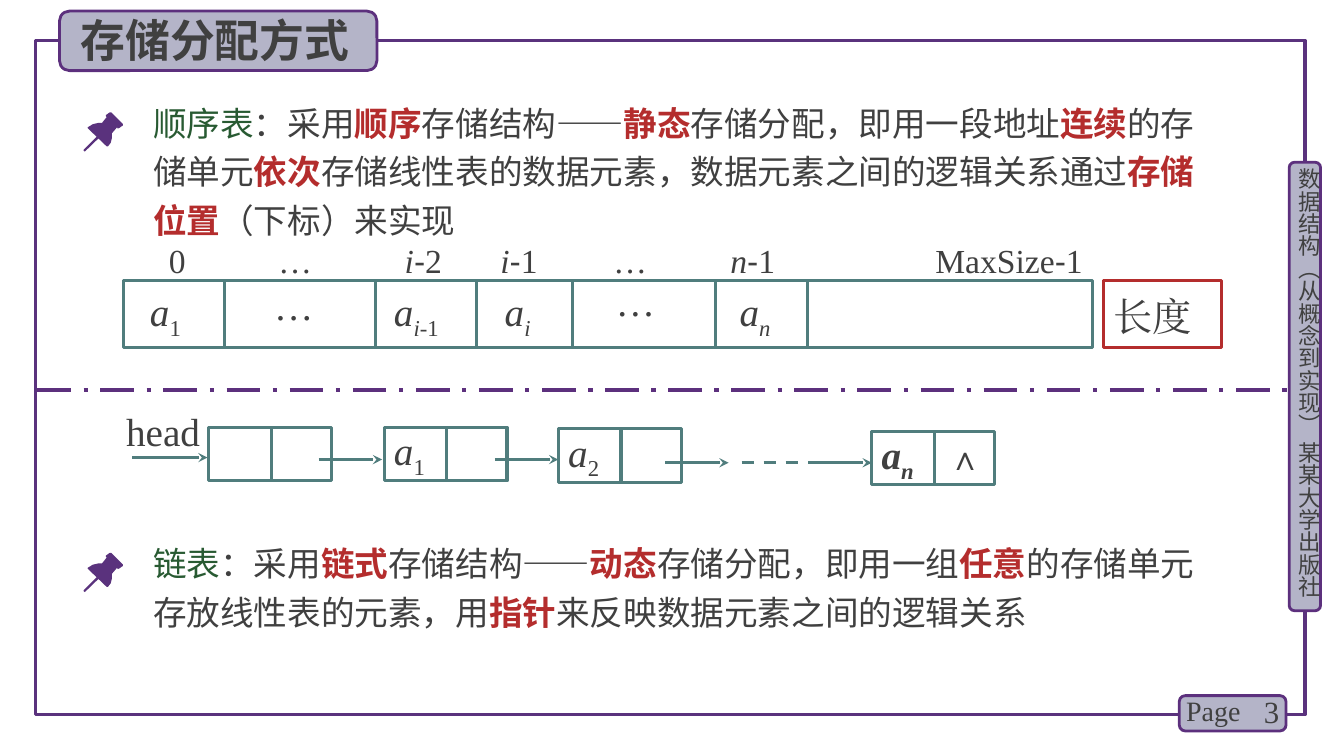
from dataclasses import dataclass, replace

import lxml.etree
import pptx
import pptx.dml.color
import pptx.enum.dml
import pptx.enum.shapes
import pptx.enum.text
import pptx.oxml.ns
import pptx.util

Cm = pptx.util.Cm
Pt = pptx.util.Pt
Shapes = pptx.enum.shapes.MSO_SHAPE
Align = pptx.enum.text.PP_ALIGN
Anchor = pptx.enum.text.MSO_ANCHOR
Dash = pptx.enum.dml.MSO_LINE

COLORS = {"text": "404040", "green": "285A32", "red": "B42D2D", "teal": "507D7D",
          "frame": "5A327D", "purple": "5C307D", "lavender": "B4B4C8"}
SANS, SERIF, HYPHEN_FONT = "Noto Sans CJK SC", "Times New Roman", "Arial"


@dataclass(frozen=True)
class Span:
    text: str
    size: float = 28
    font: str = SERIF
    color: str = "text"
    bold: bool = False
    italic: bool = False
    subscript: bool = False


@dataclass(frozen=True)
class Area:
    left: float
    top: float
    width: float
    height: float


@dataclass(frozen=True)
class Line:
    x1: float
    y1: float
    x2: float
    y2: float
    color: str = "teal"
    weight: float = 2.25
    dash: Dash | None = None
    arrow: bool = False


@dataclass(frozen=True)
class Node:
    left: float
    top: float
    spans: tuple[Span, ...] = ()


def rgb(name: str) -> pptx.dml.color.RGBColor:
    return pptx.dml.color.RGBColor.from_string(COLORS[name])


def xml_child(parent, tag: str, **attributes: str):
    return lxml.etree.SubElement(parent, pptx.oxml.ns.qn(tag), **attributes)


def write(shape, spans, margins=(0.25, 0.13, 0.25, 0.13), align=Align.LEFT,
          anchor=Anchor.TOP, spacing=None):
    """Fill a shape with one paragraph; margins are left, top, right, bottom."""
    frame = shape.text_frame
    frame.word_wrap = True
    frame.auto_size = pptx.enum.text.MSO_AUTO_SIZE.NONE
    frame.vertical_anchor = anchor
    (frame.margin_left, frame.margin_top,
     frame.margin_right, frame.margin_bottom) = map(Cm, margins)
    para = frame.paragraphs[0]
    para.alignment = align
    if spacing:
        para.line_spacing = spacing
    for span in spans:
        run = para.add_run()
        run.text = span.text
        font = run.font
        font.size, font.name = Pt(span.size), span.font
        font.bold, font.italic = span.bold, span.italic
        font.color.rgb = rgb(span.color)
        xml_child(run.font._element, "a:ea", typeface=span.font)
        if span.subscript:
            run.font._element.set("baseline", "-25000")
    return para


def add_text(area: Area, spans, **layout):
    box = slide.shapes.add_textbox(*map(Cm, (area.left, area.top, area.width, area.height)))
    return box, write(box, spans, **layout)


def add_box(area: Area, line: str, weight=2.25, fill=None, kind=Shapes.RECTANGLE):
    box = slide.shapes.add_shape(kind, *map(Cm, (area.left, area.top, area.width, area.height)))
    box.shadow.inherit = False
    box.line.color.rgb, box.line.width = rgb(line), Pt(weight)
    if fill:
        box.fill.solid()
        box.fill.fore_color.rgb = rgb(fill)
    else:
        box.fill.background()
    return box


def add_tab(area: Area):
    return add_box(area, "purple", 2, "lavender", Shapes.ROUNDED_RECTANGLE)


def add_line(line: Line):
    connector = slide.shapes.add_connector(
        pptx.enum.shapes.MSO_CONNECTOR.STRAIGHT, *map(Cm, (line.x1, line.y1, line.x2, line.y2)))
    connector.line.color.rgb, connector.line.width = rgb(line.color), Pt(line.weight)
    if line.dash:
        connector.line.dash_style = line.dash
    if line.arrow:
        xml_child(connector.line._get_or_add_ln(), "a:tailEnd", type="stealth")
    xml_child(connector._element.spPr, "a:effectLst")


def add_pin(left: float, top: float):
    for outline in (PIN_HEAD, PIN_NEEDLE):
        builder = slide.shapes.build_freeform(*outline[0], scale=Cm(0.01))
        builder.add_line_segments(outline[1:], close=True)
        part = builder.convert_to_shape(Cm(left), Cm(top))
        part.shadow.inherit = False
        part.fill.solid()
        part.fill.fore_color.rgb = rgb("frame")
        part.line.fill.background()


def element(index: str, bold=False, slanted=True):
    """Spans of a list element: an italic a with its index below."""
    return (Span("a", bold=bold, italic=True),
            Span(index, bold=bold, italic=slanted, subscript=True))


def prose(marked: str):
    """Body spans: the term comes before the first bar, then plain and key words alternate."""
    term, *parts = marked.split("|")
    body = Span("", 24, SANS)
    return [replace(body, text=term, color="green")] + [
        replace(body, text=part, color="red" if i % 2 else "text", bold=bool(i % 2))
        for i, part in enumerate(parts)]


PIN_HEAD = [(99, 33), (69, 3), (66, 3), (56, 10), (56, 13), (58, 15), (46, 30), (36, 30),
            (23, 33), (10, 41), (10, 43), (58, 89), (61, 89), (68, 80), (71, 68), (71, 56),
            (84, 41), (86, 44), (89, 43), (99, 36)]
PIN_NEEDLE = [(3, 102), (0, 100), (0, 97), (33, 64), (36, 62), (38, 64), (38, 68), (5, 100)]

deck = pptx.Presentation()
deck.slide_width, deck.slide_height = Cm(33.87), Cm(19.05)
slide = deck.slides.add_slide(deck.slide_layouts[5])

# Page frame, side tab and page number
add_box(Area(0.89, 1.02, 32, 16.99), "frame")
add_tab(Area(32.49, 4.09, 0.79, 11.3))
side, _ = add_text(Area(32.64, 4.24, 0.69, 11.4),
                   [Span("数据结构（从概念到实现） 某某大学出版社", 16, SANS)], margins=(0, 0, 0, 0))
side.text_frame._txBody.bodyPr.set("vert", "eaVert")
add_tab(Area(29.72, 17.53, 2.69, 0.89))
add_text(Area(30.99, 17.42, 1.5, 1.02), [Span("3", 22)], align=Align.RIGHT, anchor=Anchor.MIDDLE)
add_text(Area(29.64, 17.35, 1.98, 1.12), [Span("Page", 20)])

# Title
title_tab = add_tab(Area(1.5, 0.28, 8, 1.5))
title = slide.shapes.title
title.left, title.top, title.width, title.height = map(Cm, (1.78, 0.18, 7.75, 1.63))
write(title, [Span("存储分配方式", 32, SANS, bold=True)])
title_tab.element.addnext(title.element)

# Explanations
for area, marked in (
    (Area(3.61, 13.36, 27.31, 2.72),
     "链表|：采用|链式|存储结构——|动态|存储分配，即用一组|任意|的存储单元存放线性表的元素，用"
     "|指针|来反映数据元素之间的逻辑关系"),
    (Area(3.61, 2.26, 27.15, 3.96),
     "顺序表|：采用|顺序|存储结构——|静态|存储分配，即用一段地址|连续|的存储单元|依次|"
     "存储线性表的数据元素，数据元素之间的逻辑关系通过|存储位置|（下标）来实现"),
):
    add_text(area, prose(marked), spacing=1.2)
    add_pin(2.11, area.top + 0.54)
add_line(Line(0.94, 9.83, 32.56, 9.83, "purple", 3, Dash.LONG_DASH_DOT))

# Linked list
NODE_WIDTH, NODE_HEIGHT = 3.1, 1.35
for node in (Node(5.26, 10.77), Node(9.68, 10.77, element("1", slanted=False)),
             Node(14.07, 10.8, element("2", slanted=False)),
             Node(21.97, 10.87, element("n", bold=True))):
    box = add_box(Area(node.left, node.top, NODE_WIDTH, NODE_HEIGHT), "teal")
    write(box, node.spans, margins=(0.25, 0, 0, 0.2), spacing=0.9)
    middle = node.left + 1.58
    add_line(Line(middle, node.top, middle, node.top + NODE_HEIGHT))
add_text(Area(3.18, 10.26, 2.11, 1.3), [Span("head")], margins=(0, 0, 0, 0.1))
add_text(Area(23.65, 10.87, 1.45, 1.24), [Span("∧", 24, bold=True)])
for start, end, y in ((3.33, 5.23, 11.53), (8.03, 9.63, 11.58), (12.47, 14.07, 11.58),
                      (16.76, 18.36, 11.66), (20.37, 21.97, 11.66)):
    add_line(Line(start, y, end, y, arrow=True))
add_line(Line(18.69, 11.66, 20.27, 11.66, dash=Dash.DASH))

# Sequential list: index labels on centred tab stops, then the array
labels = []
for name, offset in (("0", ""), ("…", ""), ("i", "2"), ("i", "1"), ("…", ""),
                     ("n", "1"), ("MaxSize", "1")):
    labels += [Span("\t"), Span(name, 24, italic=name in ("i", "n"))]
    if offset:
        labels += [Span("-", 24, HYPHEN_FONT), Span(offset, 24)]
_, label_para = add_text(Area(3.28, 5.77, 27.84, 1.45), labels)
tab_list = xml_child(label_para._p.get_or_add_pPr(), "a:tabLst")
for stop in (0.94, 3.91, 7.14, 9.55, 12.35, 15.44, 21.9):
    xml_child(tab_list, "a:tab", pos=str(Cm(stop)), algn="ctr")

ARRAY = Area(3.12, 7.06, 24.41, 1.7)
add_box(ARRAY, "teal")
for x in (5.66, 9.46, 12, 14.43, 18.03, 20.35):
    add_line(Line(x, ARRAY.top, x, ARRAY.top + ARRAY.height))
for left, top, spans in (
    (3.78, 7.11, element("1", slanted=False)), (6.91, 6.96, [Span("…")]),
    (9.93, 7.11, [*element("i"), Span("-1", subscript=True)]), (12.72, 7.11, element("i")),
    (15.52, 6.86, [Span("…")]), (18.64, 7.11, element("n")),
):
    add_text(Area(left, top, 1.7, 1.45), spans, margins=(0, 0.13, 0, 0.13))
length_box = add_box(Area(27.81, ARRAY.top, 2.97, ARRAY.height), "red")
write(length_box, [Span("长度")], margins=(0.25, 0.3, 0, 0.13))

deck.save("out.pptx")
